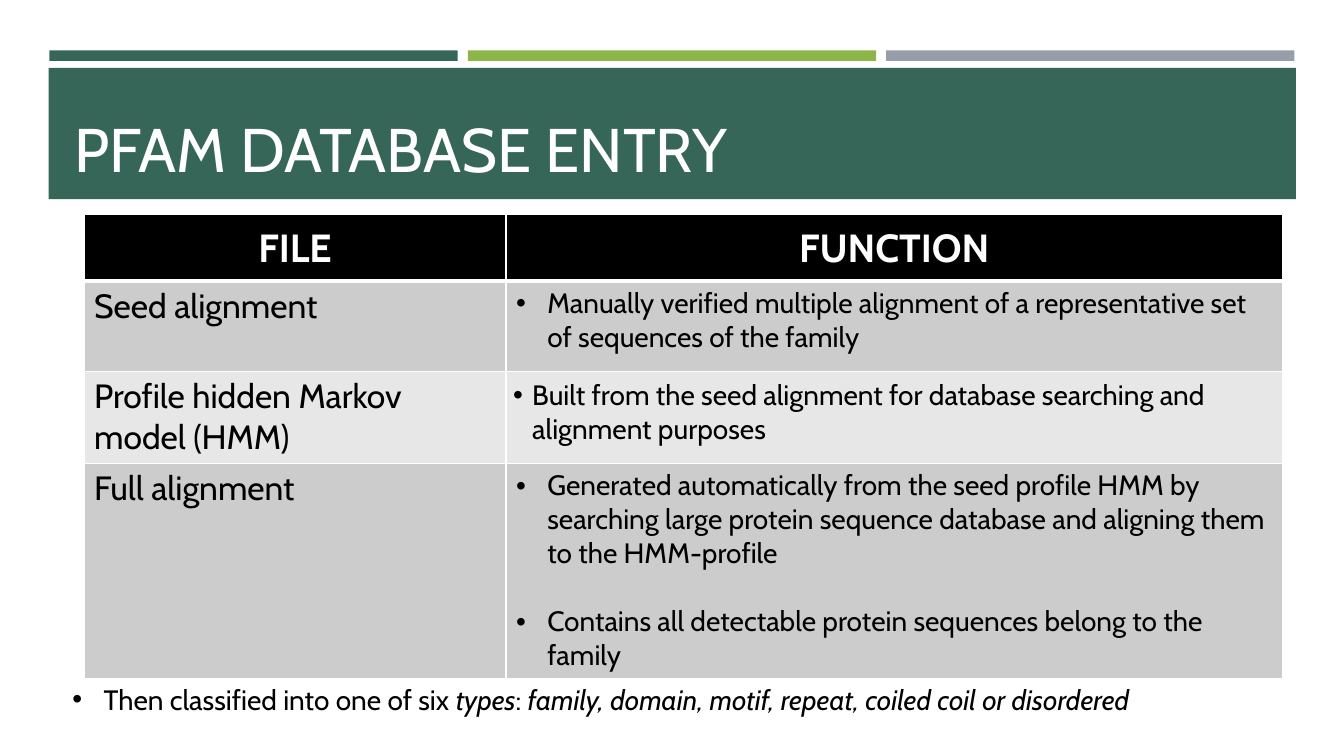
from dataclasses import dataclass

from lxml.etree import SubElement
from pptx import Presentation
from pptx.dml.color import RGBColor
from pptx.enum.shapes import MSO_SHAPE
from pptx.enum.text import MSO_ANCHOR, MSO_AUTO_SIZE, PP_ALIGN
from pptx.oxml import parse_xml
from pptx.oxml.ns import nsdecls, qn
from pptx.slide import Slide
from pptx.table import Table, _Cell
from pptx.text.text import TextFrame, _Paragraph
from pptx.util import Inches, Pt

SLIDE_WIDTH = Inches(13.33)
SLIDE_HEIGHT = Inches(7.5)


@dataclass(frozen=True)
class Theme:
    font: str = "Cabin"
    green: str = "366658"
    lime: str = "8CB64A"
    grey: str = "969FA7"
    white: str = "FFFFFF"
    black: str = "000000"
    dark_row: str = "CCCCCC"
    light_row: str = "E7E7E7"
    title_size: int = 44
    header_size: int = 28
    file_size: int = 24
    body_size: int = 20


@dataclass(frozen=True)
class Box:
    """Position and size as percentages of the slide."""

    left: float
    top: float
    width: float
    height: float

    def lengths(self) -> tuple[int, int, int, int]:
        return across(self.left), down(self.top), across(self.width), down(self.height)


@dataclass(frozen=True)
class FileEntry:
    name: str
    functions: tuple[str, ...]
    height: float
    fill: str
    indent: float = 0.31
    margin: float | None = None


THEME = Theme()
BAR = Box(3.68, 6.67, 30.38, 1.4)
BAR_STEP = 31.13
BAND = Box(3.63, 8.97, 92.8, 17.37)
TITLE = Box(4.8, 10.27, 90.47, 14.8)
NOTE = Box(4.65, 89.6, 84.4, 5.87)
COLUMNS = (31.4, 57.77)
HEADER_HEIGHT = 8.8
ENTRIES = (
    FileEntry(
        "Seed alignment",
        ("Manually verified multiple alignment of a representative set of sequences of the family",),
        11.9, THEME.dark_row,
    ),
    FileEntry(
        "Profile hidden Markov model (HMM)",
        ("Built from the seed alignment for database searching and alignment purposes",),
        12.2, THEME.light_row, indent=0.19, margin=0.07,
    ),
    FileEntry(
        "Full alignment",
        (
            "Generated automatically from the seed profile HMM by searching large protein "
            "sequence database and aligning them to the HMM-profile",
            "Contains all detectable protein sequences belong to the family",
        ),
        28.5, THEME.dark_row,
    ),
)
NOTE_RUNS = (
    ("Then classified into one of six ", False),
    ("types", True),
    (": ", False),
    ("family, domain, motif, repeat, coiled coil or disordered", True),
)


def across(percent: float) -> int:
    return round(SLIDE_WIDTH * percent / 100)


def down(percent: float) -> int:
    return round(SLIDE_HEIGHT * percent / 100)


def set_font(paragraph: _Paragraph, size: int, color: str, bold: bool = False) -> None:
    font = paragraph.font
    font.name = THEME.font
    font.size = Pt(size)
    font.bold = bold
    font.color.rgb = RGBColor.from_string(color)


def add_bullet(paragraph: _Paragraph, indent: float) -> None:
    properties = paragraph._p.get_or_add_pPr()
    properties.set("marL", str(Inches(indent)))
    properties.set("indent", str(-Inches(indent)))
    SubElement(properties, qn("a:buFont"), typeface="Arial")
    SubElement(properties, qn("a:buChar"), char="•")


def add_rectangle(slide: Slide, box: Box, color: str) -> None:
    shape = slide.shapes.add_shape(MSO_SHAPE.RECTANGLE, *box.lengths())
    shape.shadow.inherit = False
    shape.fill.solid()
    shape.fill.fore_color.rgb = RGBColor.from_string(color)
    shape.line.fill.background()


def add_title(slide: Slide, text: str) -> None:
    title = slide.shapes.title
    title.left, title.top, title.width, title.height = TITLE.lengths()
    slide.shapes.element.append(title.element)
    frame = title.text_frame
    frame.text = text
    frame.auto_size = MSO_AUTO_SIZE.NONE
    frame.vertical_anchor = MSO_ANCHOR.BOTTOM
    paragraph = frame.paragraphs[0]
    paragraph.alignment = PP_ALIGN.LEFT
    set_font(paragraph, THEME.title_size, THEME.white)


def style_cell(cell: _Cell, fill: str, top: int = 1, bottom: int = 1) -> None:
    cell.fill.solid()
    cell.fill.fore_color.rgb = RGBColor.from_string(fill)
    properties = cell._tc.get_or_add_tcPr()
    borders = (("lnL", 1), ("lnR", 1), ("lnT", top), ("lnB", bottom))
    for position, (side, width) in enumerate(borders):
        border = parse_xml(
            f'<a:{side} {nsdecls("a")} w="{Pt(width)}"><a:solidFill>'
            f'<a:srgbClr val="{THEME.white}"/></a:solidFill></a:{side}>'
        )
        properties.insert(position, border)


def write_functions(frame: TextFrame, entry: FileEntry) -> None:
    for index, function in enumerate(entry.functions):
        paragraph = frame.add_paragraph() if index else frame.paragraphs[0]
        paragraph.text = function
        if index:
            paragraph.space_before = Pt(24)
        add_bullet(paragraph, entry.indent)
        set_font(paragraph, THEME.body_size, THEME.black)


def fill_header(table: Table) -> None:
    for cell, label in zip(table.rows[0].cells, ("FILE", "FUNCTION")):
        cell.text = label
        cell.vertical_anchor = MSO_ANCHOR.MIDDLE
        paragraph = cell.text_frame.paragraphs[0]
        paragraph.alignment = PP_ALIGN.CENTER
        set_font(paragraph, THEME.header_size, THEME.white, bold=True)
        style_cell(cell, THEME.black, bottom=3)


def fill_entry(table: Table, row: int, entry: FileEntry) -> None:
    name_cell, function_cell = table.rows[row].cells
    name_cell.text = entry.name
    set_font(name_cell.text_frame.paragraphs[0], THEME.file_size, THEME.black)
    if entry.margin is not None:
        margin = Inches(entry.margin)
        function_cell.margin_left = function_cell.margin_right = margin
        function_cell.margin_top = function_cell.margin_bottom = margin
    write_functions(function_cell.text_frame, entry)
    for cell in (name_cell, function_cell):
        style_cell(cell, entry.fill, top=3 if row == 1 else 1)


def add_file_table(slide: Slide) -> None:
    heights = (HEADER_HEIGHT, *(entry.height for entry in ENTRIES))
    box = Box(6.25, 28.4, sum(COLUMNS), sum(heights))
    table = slide.shapes.add_table(len(heights), len(COLUMNS), *box.lengths()).table
    for column, width in zip(table.columns, COLUMNS):
        column.width = across(width)
    for row, height in zip(table.rows, heights):
        row.height = down(height)
    fill_header(table)
    for row, entry in enumerate(ENTRIES, start=1):
        fill_entry(table, row, entry)


def add_note(slide: Slide) -> None:
    frame = slide.shapes.add_textbox(*NOTE.lengths()).text_frame
    frame.word_wrap = True
    paragraph = frame.paragraphs[0]
    add_bullet(paragraph, 0.31)
    set_font(paragraph, THEME.body_size, THEME.black)
    for text, italic in NOTE_RUNS:
        run = paragraph.add_run()
        run.text = text
        run.font.italic = italic


def main() -> None:
    presentation = Presentation()
    presentation.slide_width = SLIDE_WIDTH
    presentation.slide_height = SLIDE_HEIGHT
    slide = presentation.slides.add_slide(presentation.slide_layouts[5])
    for index, color in enumerate((THEME.green, THEME.lime, THEME.grey)):
        add_rectangle(slide, Box(BAR.left + index * BAR_STEP, BAR.top, BAR.width, BAR.height), color)
    add_rectangle(slide, BAND, THEME.green)
    add_title(slide, "PFAM DATABASE ENTRY")
    add_file_table(slide)
    add_note(slide)
    presentation.save("out.pptx")


if __name__ == "__main__":
    main()
